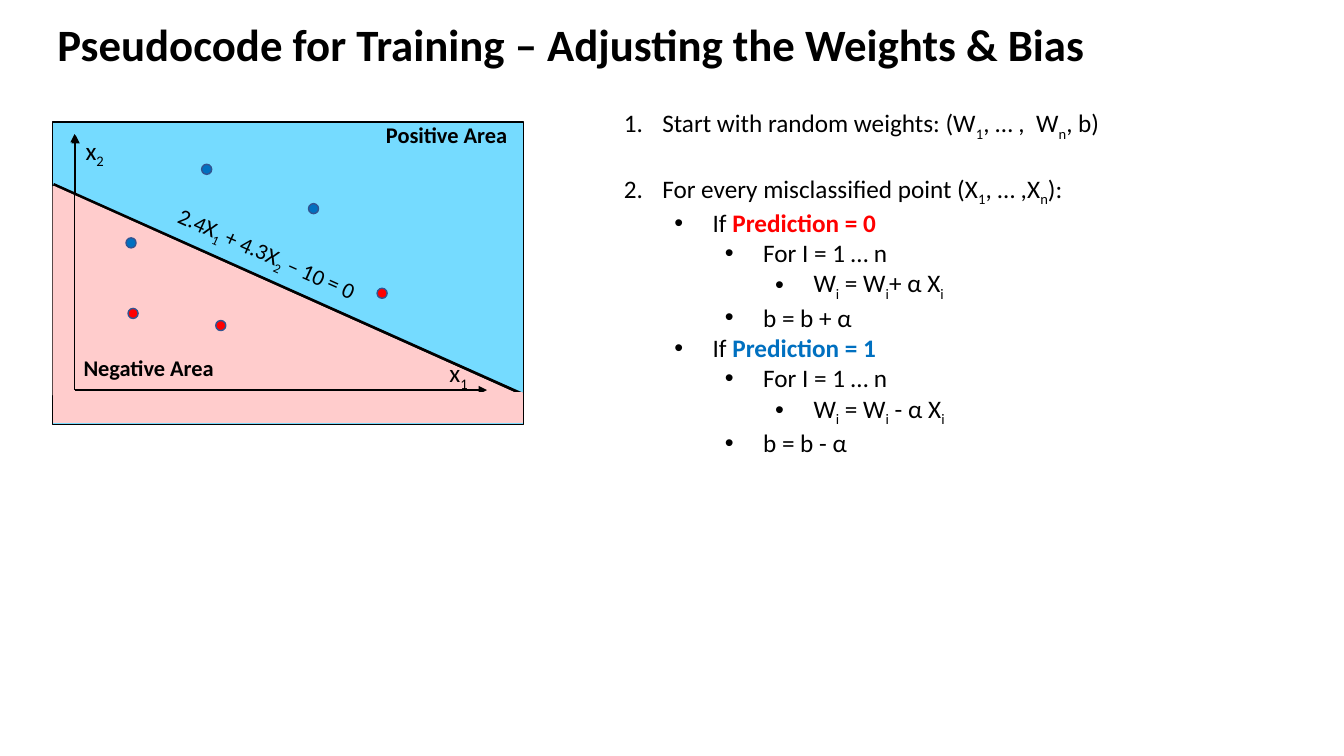
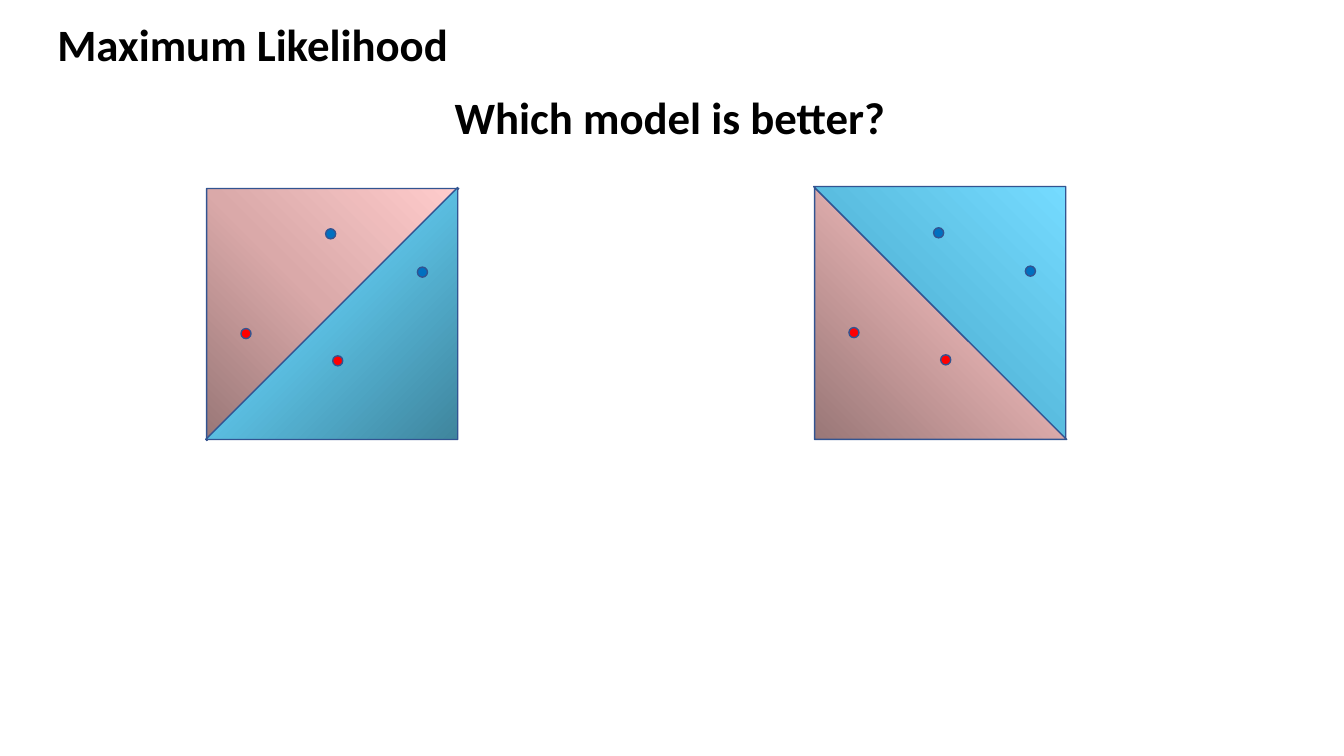
from dataclasses import dataclass
from typing import Optional

from pptx import Presentation
from pptx.dml.color import RGBColor
from pptx.enum.shapes import MSO_CONNECTOR, MSO_SHAPE
from pptx.enum.text import MSO_AUTO_SIZE
from pptx.oxml import parse_xml
from pptx.oxml.ns import nsdecls, qn
from pptx.util import Inches, Pt

BLACK = RGBColor(0x00, 0x00, 0x00)
RED = RGBColor(0xFF, 0x00, 0x00)
BLUE = RGBColor(0x00, 0x70, 0xC0)
SKY = RGBColor(0x75, 0xDB, 0xFF)
PINK = RGBColor(0xFF, 0xCC, 0xCC)
EDGE = RGBColor(0x32, 0x54, 0x91)
PINKS = (RGBColor(0x99, 0x77, 0x77), RGBColor(0xDA, 0xA9, 0xA9), PINK)
SKIES = (RGBColor(0x3F, 0x85, 0x9D), RGBColor(0x5A, 0xBD, 0xE0), SKY)

CORNER = '<a:path path="circle"><a:fillToRect t="100000" r="100000"/></a:path>'
SLOPE = '<a:lin ang="18900000" scaled="1"/>'

PLAIN = {"name": "Calibri", "size": Pt(18), "bold": False}
SMALL = PLAIN | {"size": Pt(16)}
LABEL = SMALL | {"bold": True}
HEAD = PLAIN | {"size": Pt(32), "bold": True}

DOT = 0.1
SIDE = 2.5
HANG = 0.38


@dataclass
class Dot:
    x: float
    y: float
    color: RGBColor


@dataclass
class Note:
    text: str
    x: float
    y: float
    w: float
    h: float
    form: dict
    turn: float = 0


@dataclass
class Step:
    level: int
    text: str
    key: str = ""
    color: RGBColor = BLACK
    gap: int = 0


@dataclass
class Model:
    """Two shaded halves of a square, each turned by its own angle."""
    x: float
    y: float
    pink: int
    sky: int
    shade: str


DOTS = (Dot(2.0, 1.63, BLUE), Dot(3.06, 2.02, BLUE), Dot(1.25, 2.36, BLUE),
        Dot(2.14, 3.18, RED), Dot(1.27, 3.06, RED), Dot(3.74, 2.86, RED))

NOTES = (Note("x_2_", 0.75, 1.29, 0.4, 0.4, PLAIN),
         Note("x_1_", 4.36, 3.5, 0.4, 0.4, PLAIN),
         Note("Negative Area", 0.73, 3.46, 1.51, 0.37, LABEL),
         Note("Positive Area", 3.73, 1.15, 1.42, 0.37, LABEL),
         Note("2.4X_1_ + 4.3X_2_ – 10 = 0", 1.6, 2.35, 2.19, 0.37, SMALL, 24.1))


def branch(value: int, sign: str, color: RGBColor) -> tuple:
    """Steps that correct a wrong prediction of the given value."""
    lead = "+" if sign == "+" else f" {sign}"
    return (Step(1, "If ", f"Prediction = {value}", color),
            Step(2, "For I = 1 … n"),
            Step(3, f"W_i_ = W_i_{lead} α X_i_"),
            Step(2, f"b = b {sign} α"))


STEPS = (Step(0, "Start with random weights: (W_1_, … ,  W_n_, b)"),
         Step(0, "For every misclassified point (X_1_, … ,X_n_):", gap=22),
         *branch(0, "+", RED), *branch(1, "-", BLUE))

MODELS = (Model(2.04, 1.86, 90, 270, SLOPE),
          Model(8.07, 1.85, 0, 180, CORNER))
POINTS = (Dot(2.1, 0.79, BLUE), Dot(1.19, 0.41, BLUE),
          Dot(1.26, 1.67, RED), Dot(0.35, 1.4, RED))


def write(para, text: str, form: dict, color: RGBColor = BLACK) -> None:
    """Add runs; parts between underscores are subscripts."""
    for i, part in enumerate(text.split("_")):
        if not part:
            continue
        run = para.add_run()
        run.text = part
        for name, value in form.items():
            setattr(run.font, name, value)
        run.font.color.rgb = color
        if i % 2:
            run.font._element.set("baseline", "-25000")


def box(slide, x: float, y: float, w: float, h: float):
    shape = slide.shapes.add_textbox(Inches(x), Inches(y), Inches(w), Inches(h))
    shape.text_frame.word_wrap = False
    shape.text_frame.auto_size = MSO_AUTO_SIZE.SHAPE_TO_FIT_TEXT
    return shape


def label(slide, note: Note) -> None:
    shape = box(slide, note.x, note.y, note.w, note.h)
    shape.rotation = note.turn
    write(shape.text_frame.paragraphs[0], note.text, note.form)


def block(slide, kind, x: float, y: float, w: float, h: float,
          fill: Optional[RGBColor], edge: RGBColor):
    shape = slide.shapes.add_shape(kind, Inches(x), Inches(y), Inches(w), Inches(h))
    shape.shadow.inherit = False
    if fill is not None:
        shape.fill.solid()
        shape.fill.fore_color.rgb = fill
    shape.line.color.rgb = edge
    shape.line.width = Pt(1)
    return shape


def spot(slide, dot: Dot, x: float = 0, y: float = 0) -> None:
    block(slide, MSO_SHAPE.FLOWCHART_CONNECTOR, x + dot.x, y + dot.y,
          DOT, DOT, dot.color, EDGE)


def line(slide, x: float, y: float, to_x: float, to_y: float,
         width: float = 1, arrow: bool = True) -> None:
    link = slide.shapes.add_connector(
        MSO_CONNECTOR.STRAIGHT, Inches(x), Inches(y), Inches(to_x), Inches(to_y))
    link.line.color.rgb = BLACK
    link.line.width = Pt(width)
    if arrow:
        link.line._get_or_add_ln().append(
            parse_xml(f'<a:tailEnd {nsdecls("a")} type="triangle"/>'))
    link._element.spPr.append(parse_xml(f'<a:effectLst {nsdecls("a")}/>'))


def axes(slide, x: float, y: float) -> None:
    line(slide, x, y, x, y - 2.54)
    line(slide, x, y, 4.83, y)


def half(slide, x: float, y: float, turn: int, tones: tuple, shade: str) -> None:
    """Draw a right triangle with a three-tone gradient."""
    shape = block(slide, MSO_SHAPE.RIGHT_TRIANGLE, x, y, SIDE, SIDE, None, EDGE)
    shape.rotation = turn
    shape.fill.gradient()
    stops = "".join(f'<a:gs pos="{i * 50000}"><a:srgbClr val="{tone}"/></a:gs>'
                    for i, tone in enumerate(tones))
    props = shape._element.spPr
    props.replace(props.find(qn("a:gradFill")), parse_xml(
        f'<a:gradFill {nsdecls("a")} rotWithShape="1">'
        f'<a:gsLst>{stops}</a:gsLst>{shade}</a:gradFill>'))


def outline(slide, steps: tuple) -> None:
    """Write numbered steps with bulleted sub-steps."""
    frame = box(slide, 6.09, 1.02, 4.98, 4.04).text_frame
    for i, step in enumerate(steps):
        para = frame.add_paragraph() if i else frame.paragraphs[0]
        para.level = step.level
        para.space_before = Pt(step.gap)
        props = para._p.get_or_add_pPr()
        props.set("marL", str(Inches(HANG + step.level * 0.5)))
        props.set("indent", str(-Inches(HANG)))
        mark = '<a:buChar {} char="•"/>' if step.level else '<a:buAutoNum {} type="arabicPeriod"/>'
        if step.level:
            props.append(parse_xml(f'<a:buFont {nsdecls("a")} typeface="Arial"/>'))
        props.append(parse_xml(mark.format(nsdecls("a"))))
        write(para, step.text, PLAIN)
        write(para, step.key, PLAIN | {"bold": True}, step.color)


def page(deck, title: str, width: float):
    slide = deck.slides.add_slide(deck.slide_layouts[6])
    label(slide, Note(title, 0.47, 0.12, width, 0.64, HEAD))
    return slide


def training(deck) -> None:
    slide = page(deck, "Pseudocode for Training – Adjusting the Weights & Bias", 10.49)
    block(slide, MSO_SHAPE.RECTANGLE, 0.52, 1.21, 4.67, 3, SKY, BLACK)
    axes(slide, 0.75, 3.88)
    line(slide, 0.53, 1.83, 5.18, 3.91, 2.25, False)
    block(slide, MSO_SHAPE.RIGHT_TRIANGLE, 0.53, 1.85, 4.62, 2.07, PINK, PINK)
    axes(slide, 0.74, 3.87)
    block(slide, MSO_SHAPE.RECTANGLE, 0.53, 3.9, 4.65, 0.29, PINK, PINK)
    for dot in DOTS:
        spot(slide, dot)
    for note in NOTES:
        label(slide, note)
    outline(slide, STEPS)


def models(deck) -> None:
    slide = page(deck, "Maximum Likelihood", 4.11)
    label(slide, Note("Which model is better?", 4.41, 0.84, 4.52, 0.64, HEAD))
    for model in MODELS:
        half(slide, model.x + 0.01, model.y + 0.01, model.pink, PINKS, CORNER)
        half(slide, model.x, model.y, model.sky, SKIES, model.shade)
        for dot in POINTS:
            spot(slide, dot, model.x, model.y)


def main() -> None:
    deck = Presentation()
    deck.slide_width = Inches(13.33)
    deck.slide_height = Inches(7.5)
    training(deck)
    models(deck)
    deck.save("out.pptx")


if __name__ == "__main__":
    main()
